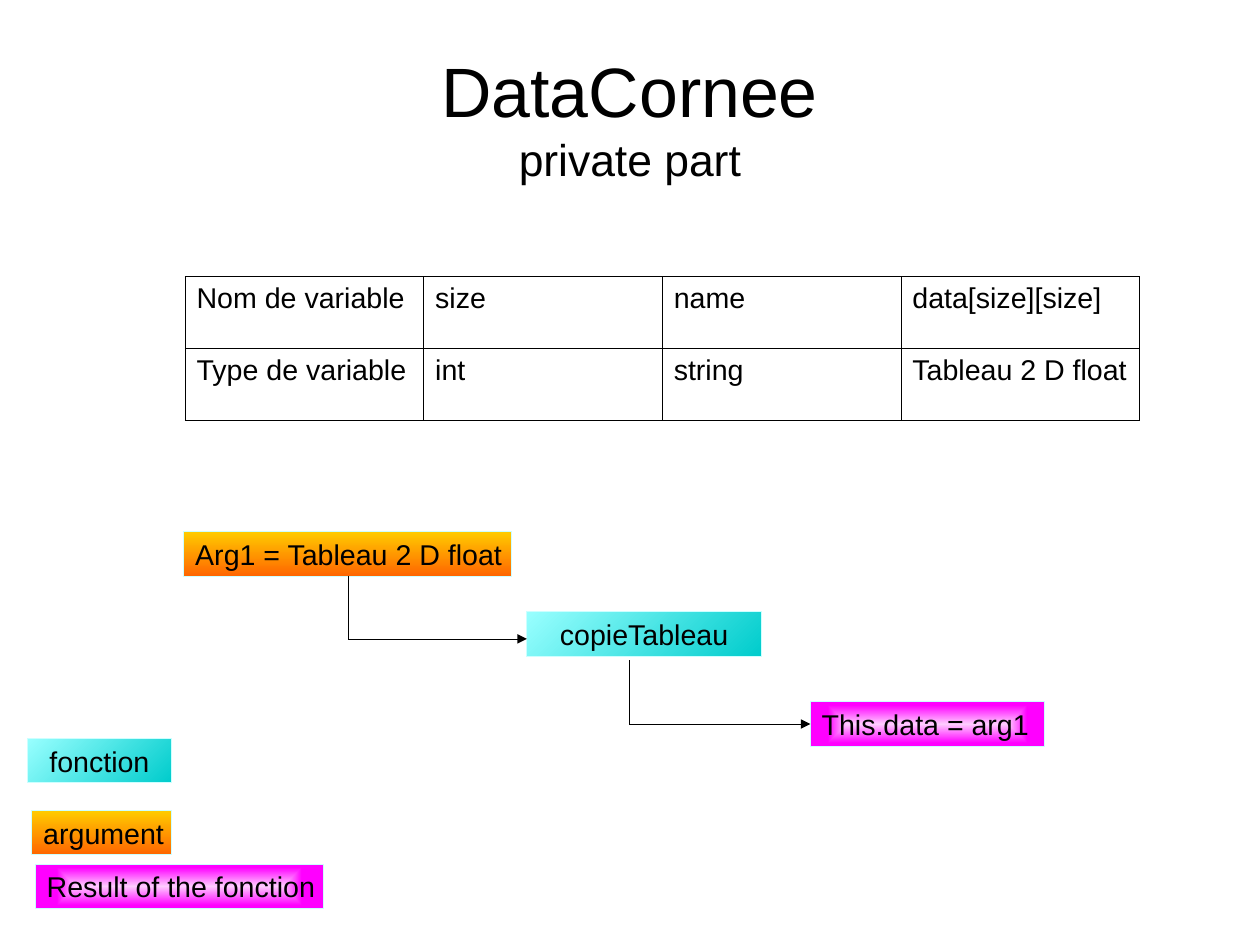
from pptx import Presentation
from pptx.dml.color import RGBColor
from pptx.enum.shapes import MSO_CONNECTOR, MSO_SHAPE
from pptx.enum.text import MSO_ANCHOR, PP_ALIGN
from pptx.oxml.ns import qn
from pptx.util import Inches, Pt
from lxml.etree import SubElement

HAIRLINE = Pt(0.01)


def color(hex_code):
    return RGBColor.from_string(hex_code)


def add_span(para, text, size):
    span = para.add_run()
    span.text = text
    span.font.name = "Arial"
    span.font.size = Pt(size)
    span.font.bold = False
    span.font.color.rgb = color("000000")


# The page is 28 by 21 cm, so the 4:3 screen preset is dropped
deck = Presentation()
deck.slide_width, deck.slide_height = Inches(28 / 2.54), Inches(21 / 2.54)
deck.element.find(qn("p:sldSz")).attrib.pop("type", None)
page = deck.slides.add_slide(deck.slide_layouts[5])

# Title
title = page.shapes.title
title.left, title.top = Inches(0.55), Inches(0.33)
title.width, title.height = Inches(9.92), Inches(1.38)
frame = title.text_frame
frame.margin_left = frame.margin_right = frame.margin_top = frame.margin_bottom = 0
frame.vertical_anchor = MSO_ANCHOR.MIDDLE
para = frame.paragraphs[0]
para.alignment = PP_ALIGN.CENTER
add_span(para, "DataCornee", 44)
para.add_line_break()
add_span(para, "private part", 28)

# Table of variables
variables = [
    ["Nom de variable", "size", "name", "data[size][size]"],
    ["Type de variable", "int", "string", "Tableau 2 D float"],
]
table = page.shapes.add_table(
    2, 4, Inches(1.62), Inches(2.42), Inches(8.35), Inches(1.26)
).table
table.first_row = table.horz_banding = False
for row, texts in zip(table.rows, variables):
    for cell, text in zip(row.cells, texts):
        add_span(cell.text_frame.paragraphs[0], text, 18)
        cell_format = cell._tc.get_or_add_tcPr()
        for side in ("a:lnL", "a:lnR", "a:lnT", "a:lnB"):
            border = SubElement(cell_format, qn(side), w=str(Pt(0.57)))
            SubElement(SubElement(border, qn("a:solidFill")), qn("a:srgbClr"), val="000000")
        cell.fill.background()

# Gradient per kind: start colour, end colour, end position, path, focus (l, t, r, b)
gradients = {
    "function": ("99FFFF", "00CCCC", 1, "circle", (0, 0, 100, 100)),
    "argument": ("FFCC00", "FF6600", 1, None, None),
    "result": ("FFCCFF", "FF00FF", 0.85, "rect", (50, 50, 50, 50)),
}
labels = [
    ("copieTableau", "function", 4.61, 5.35, 2.05),
    ("Arg1 = Tableau 2 D float", "argument", 1.61, 4.65, 2.87),
    ("argument", "argument", 0.28, 7.09, 1.22),
    ("fonction", "function", 0.24, 6.46, 1.26),
    ("This.data = arg1", "result", 7.09, 6.14, 2.05),
    ("Result of the fonction", "result", 0.31, 7.56, 2.52),
]
boxes = {}
for text, kind, left, top, width in labels:
    box = page.shapes.add_shape(
        MSO_SHAPE.RECTANGLE, Inches(left), Inches(top), Inches(width), Inches(0.39)
    )
    boxes[text] = box
    box.shadow.inherit = False
    box.line.color.rgb = color("CCFFFF")
    box.line.width = HAIRLINE

    start, end, end_position, path_kind, focus = gradients[kind]
    box.fill.gradient()
    first, last = box.fill.gradient_stops
    first.color.rgb, first.position = color(start), 0
    last.color.rgb, last.position = color(end), end_position
    box.fill.gradient_angle = 270
    if path_kind:
        gradient = box._element.spPr.find(qn("a:gradFill"))
        gradient.remove(gradient.find(qn("a:lin")))
        shade = SubElement(gradient, qn("a:path"), path=path_kind)
        edges = {edge: str(share * 1000) for edge, share in zip("ltrb", focus)}
        SubElement(shade, qn("a:fillToRect"), **edges)

    frame = box.text_frame
    frame.word_wrap = False
    frame.vertical_anchor = MSO_ANCHOR.MIDDLE
    para = frame.paragraphs[0]
    para.alignment = PP_ALIGN.CENTER if kind == "function" else PP_ALIGN.LEFT
    add_span(para, text, 18)

# Each step goes down from a box, then right with an arrow to the next one
argument, result = boxes["Arg1 = Tableau 2 D float"], boxes["This.data = arg1"]
steps = [
    (argument.left + argument.width // 2, Inches(5.04), Inches(4.61), Inches(5.59)),
    (Inches(5.51), Inches(5.78), Inches(7.09), result.top + result.height // 2),
]
connectors = []
for x, top, right, y in steps:
    for ends in ((x, top, x, y), (x, y, right, y)):
        connector = page.shapes.add_connector(MSO_CONNECTOR.STRAIGHT, *ends)
        connector.line.color.rgb = color("000000")
        connector.line.width = HAIRLINE
        SubElement(connector._element.spPr, qn("a:effectLst"))
        connectors.append(connector)
    SubElement(connector.line._get_or_add_ln(), qn("a:tailEnd"), type="triangle")
connectors[0].begin_connect(argument, 2)
connectors[-1].end_connect(result, 1)

deck.save("out.pptx")
